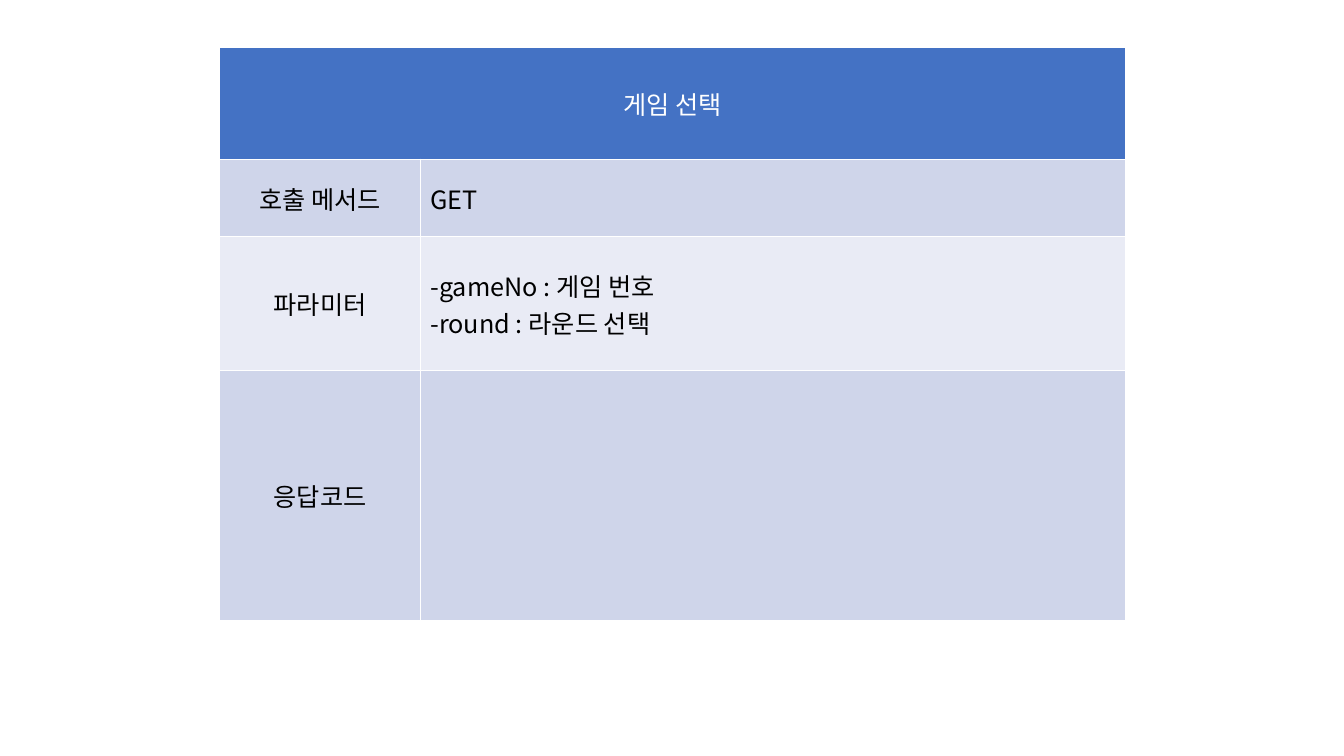
from dataclasses import dataclass

from lxml.etree import SubElement
from pptx import Presentation
from pptx.dml.color import RGBColor
from pptx.enum.text import MSO_ANCHOR as Anchor, PP_ALIGN as Align
from pptx.oxml.ns import qn
from pptx.table import _Cell as Cell
from pptx.util import Inches, Pt

FONT = "Noto Sans CJK KR"
WHITE = RGBColor(0xFF, 0xFF, 0xFF)
BLACK = RGBColor(0x00, 0x00, 0x00)
HEADER_BLUE = RGBColor(0x44, 0x72, 0xC4)
BAND_DARK = RGBColor(0xCF, 0xD5, 0xEA)
BAND_LIGHT = RGBColor(0xE9, 0xEB, 0xF5)

COLUMN_WIDTHS = (1.99, 6.99)
HEADER_HEIGHT = 1.11


@dataclass(frozen=True)
class ApiField:
    label: str
    value: str
    height: float
    fill: RGBColor


API_FIELDS = (
    ApiField("호출 메서드", "GET", 0.77, BAND_DARK),
    ApiField("파라미터", "-gameNo : 게임 번호\n-round : 라운드 선택", 1.33, BAND_LIGHT),
    ApiField("응답코드", "", 2.48, BAND_DARK),
)


def fill_cell(cell: Cell, text: str, fill: RGBColor, color: RGBColor, align: Align) -> None:
    cell.fill.solid()
    cell.fill.fore_color.rgb = fill
    cell.vertical_anchor = Anchor.MIDDLE
    cell.text_frame.text = text
    for paragraph in cell.text_frame.paragraphs:
        paragraph.alignment = align
        for run in paragraph.runs:
            run.font.size = Pt(18)
            run.font.bold = False
            run.font.color.rgb = color
            run.font.name = FONT
            east_asian = SubElement(run.font._element, qn("a:ea"))
            east_asian.set("typeface", FONT)


def main() -> None:
    presentation = Presentation()
    presentation.slide_width = Inches(13.33)
    presentation.slide_height = Inches(7.5)
    slide = presentation.slides.add_slide(presentation.slide_layouts[6])

    heights = (HEADER_HEIGHT, *(field.height for field in API_FIELDS))
    table = slide.shapes.add_table(
        len(heights), len(COLUMN_WIDTHS), Inches(2.18), Inches(0.47),
        Inches(sum(COLUMN_WIDTHS)), Inches(sum(heights)),
    ).table
    for column, width in zip(table.columns, COLUMN_WIDTHS):
        column.width = Inches(width)
    for row, height in zip(table.rows, heights):
        row.height = Inches(height)

    header = table.cell(0, 0)
    header.merge(table.cell(0, 1))
    fill_cell(header, "게임 선택", HEADER_BLUE, WHITE, Align.CENTER)
    for row_index, field in enumerate(API_FIELDS, start=1):
        fill_cell(table.cell(row_index, 0), field.label, field.fill, BLACK, Align.CENTER)
        fill_cell(table.cell(row_index, 1), field.value, field.fill, BLACK, Align.LEFT)

    presentation.save("out.pptx")


if __name__ == "__main__":
    main()
